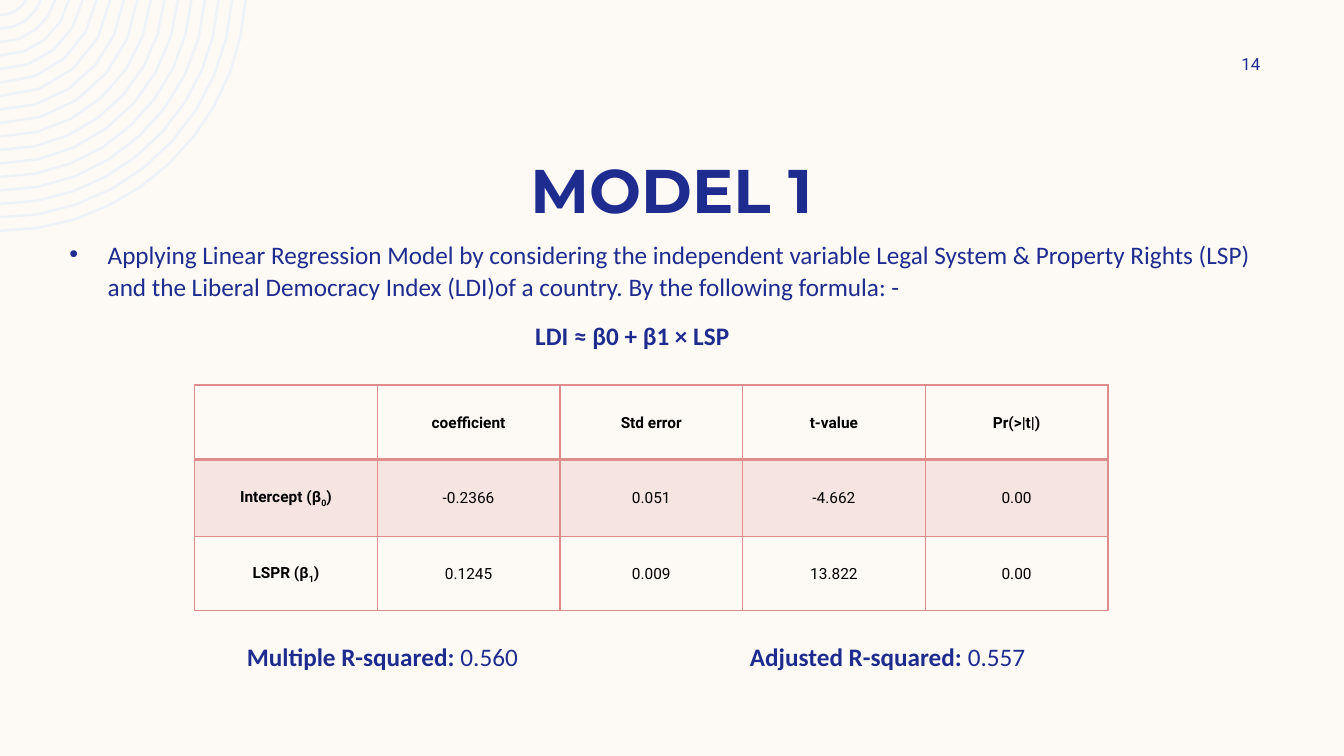
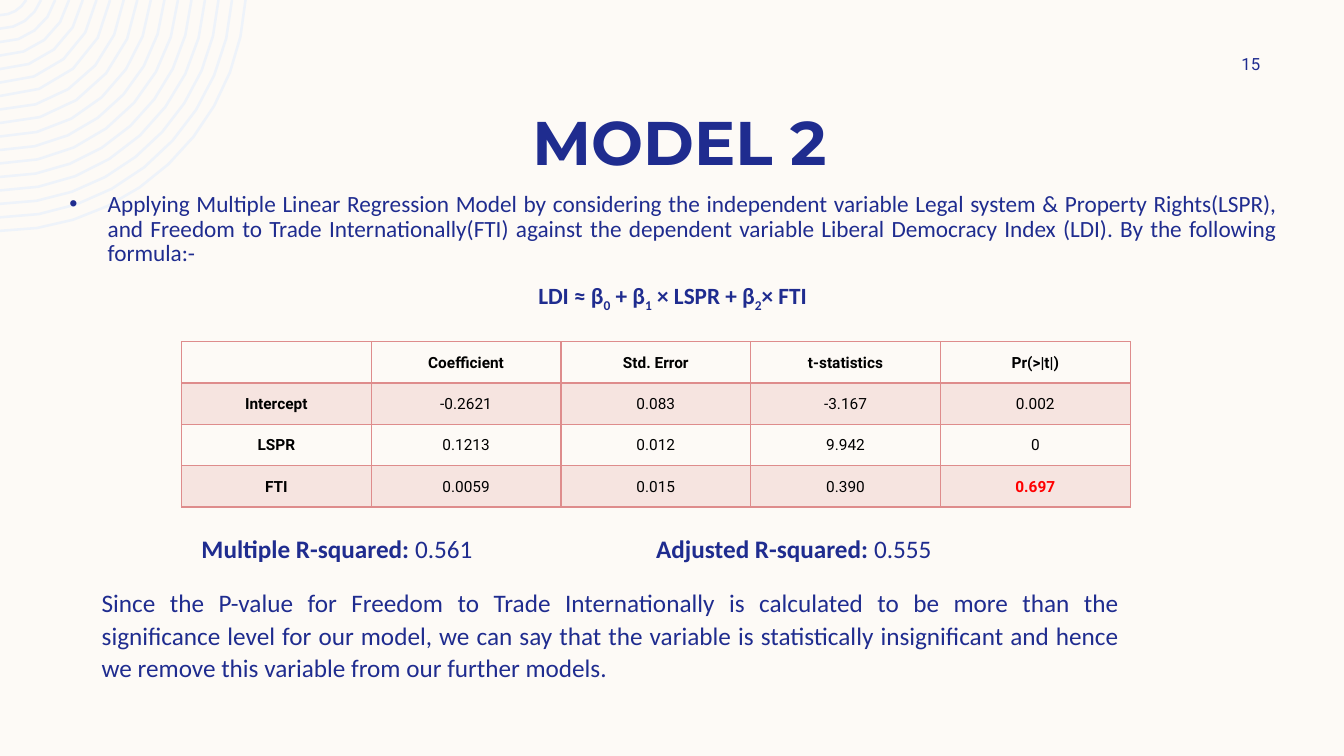
"""Build two slides that report regression models."""
import math

import lxml.etree
import pptx
import pptx.dml.color
import pptx.enum.text
import pptx.oxml.ns
import pptx.util

Inches, Pt = pptx.util.Inches, pptx.util.Pt
ALIGN = pptx.enum.text.PP_ALIGN
ANCHOR = pptx.enum.text.MSO_ANCHOR
NAVY, CREAM, ARC, ROSE, BLACK, RED = "1F2C8F", "FDFAF6", "EEF3FA", "DE8C8C", "000000", "FF0000"
PLAIN, BOLD, SUB = "plain", "bold", "sub"

MODELS = [
    {
        "title": "MODEL 1", "title_at": (0.83, 0.8, 11.66, 1.49), "number": "14",
        "body_at": (0.59, 2.3, 12.16, 1.38), "size": 18, "spacing": 1.07, "align": ALIGN.LEFT,
        "intro": "Applying Linear Regression Model by considering the independent variable Legal System & Property Rights (LSP) and the Liberal Democracy Index (LDI)of a country. By the following formula: -",
        "formula": [("LDI ≈ β0 + β1 × LSP", BOLD)],
        "formula_align": ALIGN.LEFT, "formula_indent": 4.62,
        "table_at": (1.93, 3.82, 9.06), "row_heights": (0.74, 0.76, 0.74),
        "rows": [
            ("", "coefficient", "Std error", "t-value", "Pr(>|t|)"),
            ([("Intercept (β", BOLD), ("0", SUB), (")", BOLD)], "-0.2366", "0.051", "-4.662", "0.00"),
            ([("LSPR (β", BOLD), ("1", SUB), (")", BOLD)], "0.1245", "0.009", "13.822", "0.00"),
        ],
        "alerts": [],
        "fit_at": (2.35, 6.29, 8.23, 0.41), "fit_tab": 4.99, "fit": ("0.560", "0.557"),
        "conclusion": "",
    },
    {
        "title": "MODEL 2", "title_at": (0.91, 0.32, 11.66, 1.49), "number": "15",
        "body_at": (0.59, 1.87, 12.16, 1.38), "size": 16.6, "spacing": 0.87, "align": ALIGN.JUSTIFY,
        "intro": "Applying Multiple Linear Regression Model by considering the independent variable Legal system & Property Rights(LSPR), and Freedom to Trade Internationally(FTI) against the dependent variable Liberal Democracy Index (LDI). By the following formula:-",
        "formula": [("LDI ≈ β", BOLD), ("0", SUB), (" + β", BOLD), ("1", SUB),
                    (" × LSPR + β", BOLD), ("2", SUB), ("× FTI", BOLD)],
        "formula_align": ALIGN.CENTER, "formula_indent": 0,
        "table_at": (1.8, 3.39, 9.41), "row_heights": (0.41,) * 4,
        "rows": [
            ("", "Coefficient", "Std. Error", "t-statistics", "Pr(>|t|)"),
            ("Intercept", "-0.2621", "0.083", "-3.167", "0.002"),
            ("LSPR", "0.1213", "0.012", "9.942", "0"),
            ("FTI", "0.0059", "0.015", "0.390", "0.697"),
        ],
        "alerts": [(3, 4)],
        "fit_at": (1.9, 5.22, 8.68, 0.41), "fit_tab": 4.51, "fit": ("0.561", "0.555"),
        "conclusion": "Since the P-value for Freedom to Trade Internationally is calculated to be more than the significance level for our model, we can say that the variable is statistically insignificant and hence we remove this variable from our further models.",
    },
]


def rgb(value):
    return pptx.dml.color.RGBColor.from_string(value)


def add_xml(parent, tag, **attributes):
    return lxml.etree.SubElement(parent, pptx.oxml.ns.qn(tag), attributes)


def write(para, spans, size, font="Calibri", color=NAVY, align=ALIGN.LEFT,
          spacing=1.07, before=0, after=8):
    para.alignment, para.line_spacing = align, spacing
    para.space_before, para.space_after = Pt(before), Pt(after)
    for text, style in spans:
        span = para.add_run()
        span.text = text
        span.font.size, span.font.name = Pt(size), font
        span.font.bold = style != PLAIN
        span.font.color.rgb = rgb(color)
        if style == SUB:
            span.font._element.set("baseline", "-25000")


def indent(para, left, first=0):
    properties = para._p.get_or_add_pPr()
    properties.set("marL", str(Inches(left)))
    properties.set("indent", str(Inches(first)))
    return properties


def add_text(page, at, anchor=ANCHOR.TOP):
    frame = page.shapes.add_textbox(*map(Inches, at)).text_frame
    frame.word_wrap, frame.vertical_anchor = True, anchor
    return frame


def arc_points(radius, center_y=-0.15):
    start = math.asin(-center_y / radius)
    steps = max(4, round(4 * radius))
    angles = [start + (math.pi / 2 - start) * step / steps for step in range(steps + 1)]
    return [(1000 * radius * math.cos(angle), 1000 * (center_y + radius * math.sin(angle)))
            for angle in angles]


def add_arcs(page, count=17, outer=2.44, inner=0.3):
    pitch = (outer - inner) / (count - 1)
    builder = page.shapes.build_freeform(*arc_points(outer)[0], scale=Inches(1) / 1000)
    for ring in range(count):
        points = arc_points(outer - ring * pitch)
        builder.move_to(*points[0])
        builder.add_line_segments(points[1:], close=False)
    arcs = builder.convert_to_shape()
    arcs.shadow.inherit = False
    arcs.fill.background()
    arcs.line.color.rgb = rgb(ARC)
    arcs.line.width = Pt(1.8)


def style_cell(cell, row):
    cell.margin_left = cell.margin_right = Inches(0.07)
    cell.margin_top = cell.margin_bottom = 0
    cell.vertical_anchor = ANCHOR.MIDDLE
    properties = cell._tc.get_or_add_tcPr()
    widths = {"L": 1, "R": 1, "T": 2 if row == 1 else 1, "B": 2 if row == 0 else 1}
    for side, width in widths.items():
        border = add_xml(properties, f"a:ln{side}", w=str(Pt(width)))
        add_xml(add_xml(border, "a:solidFill"), "a:srgbClr", val=ROSE)
    if row % 2:
        cell.fill.solid()
        cell.fill.fore_color.rgb = rgb(ROSE)
        tint = properties.find(pptx.oxml.ns.qn("a:solidFill"))[0]
        add_xml(tint, "a:alpha", val="20000")
    else:
        cell.fill.background()


def add_results(page, model):
    left, top, width = model["table_at"]
    rows, heights = model["rows"], model["row_heights"]
    columns = len(rows[0])
    table = page.shapes.add_table(len(rows), columns, Inches(left), Inches(top),
                                  Inches(width), Inches(sum(heights))).table
    table.first_row = table.horz_banding = False
    for column in table.columns:
        column.width = Inches(width / columns)
    for row, values in enumerate(rows):
        table.rows[row].height = Inches(heights[row])
        for column, value in enumerate(values):
            cell = table.cell(row, column)
            style_cell(cell, row)
            alert = (row, column) in model["alerts"]
            style = BOLD if row == 0 or column == 0 or alert else PLAIN
            spans = [(value, style)] if isinstance(value, str) else value
            if value:
                write(cell.text_frame.paragraphs[0], spans, 11, "Roboto",
                      RED if alert else BLACK, ALIGN.CENTER)


def add_heading(page, model):
    title = add_text(page, model["title_at"], ANCHOR.BOTTOM)
    write(title.paragraphs[0], [(model["title"], BOLD)], 44, "Montserrat",
          align=ALIGN.CENTER, spacing=1.0, after=0)
    number = add_text(page, (11.42, 0.5, 1.08, 0.27), ANCHOR.MIDDLE)
    number.margin_right = 0
    write(number.paragraphs[0], [(model["number"], PLAIN)], 12, "Roboto",
          align=ALIGN.RIGHT, spacing=1.0, after=0)


def add_body(page, model):
    body = add_text(page, model["body_at"])
    shared = {"size": model["size"], "spacing": model["spacing"], "before": 3.6}
    intro, formula = body.paragraphs[0], body.add_paragraph()
    write(intro, [(model["intro"], PLAIN)], align=model["align"], **shared)
    bullet = indent(intro, 0.38, -0.38)
    add_xml(bullet, "a:buFont", typeface="Arial")
    add_xml(bullet, "a:buChar", char="•")
    write(formula, model["formula"], align=model["formula_align"], **shared)
    indent(formula, model["formula_indent"])


def add_fit(page, model):
    multiple, adjusted = model["fit"]
    para = add_text(page, model["fit_at"]).paragraphs[0]
    write(para, [("Multiple R-squared: ", BOLD), (multiple, PLAIN),
                 ("\tAdjusted R-squared: ", BOLD), (adjusted, PLAIN)], 18)
    stops = add_xml(para._p.get_or_add_pPr(), "a:tabLst")
    add_xml(stops, "a:tab", pos=str(Inches(model["fit_tab"])), algn="l")


def main():
    deck = pptx.Presentation()
    deck.slide_width, deck.slide_height = Inches(13.33), Inches(7.5)
    background = deck.slide_master.background.fill
    background.solid()
    background.fore_color.rgb = rgb(CREAM)
    for model in MODELS:
        page = deck.slides.add_slide(deck.slide_layouts[6])
        add_arcs(page)
        add_heading(page, model)
        add_body(page, model)
        add_results(page, model)
        add_fit(page, model)
        if model["conclusion"]:
            conclusion = add_text(page, (0.91, 5.76, 10.29, 1.06))
            write(conclusion.paragraphs[0], [(model["conclusion"], PLAIN)], 18, align=ALIGN.JUSTIFY)
    deck.save("out.pptx")


if __name__ == "__main__":
    main()
